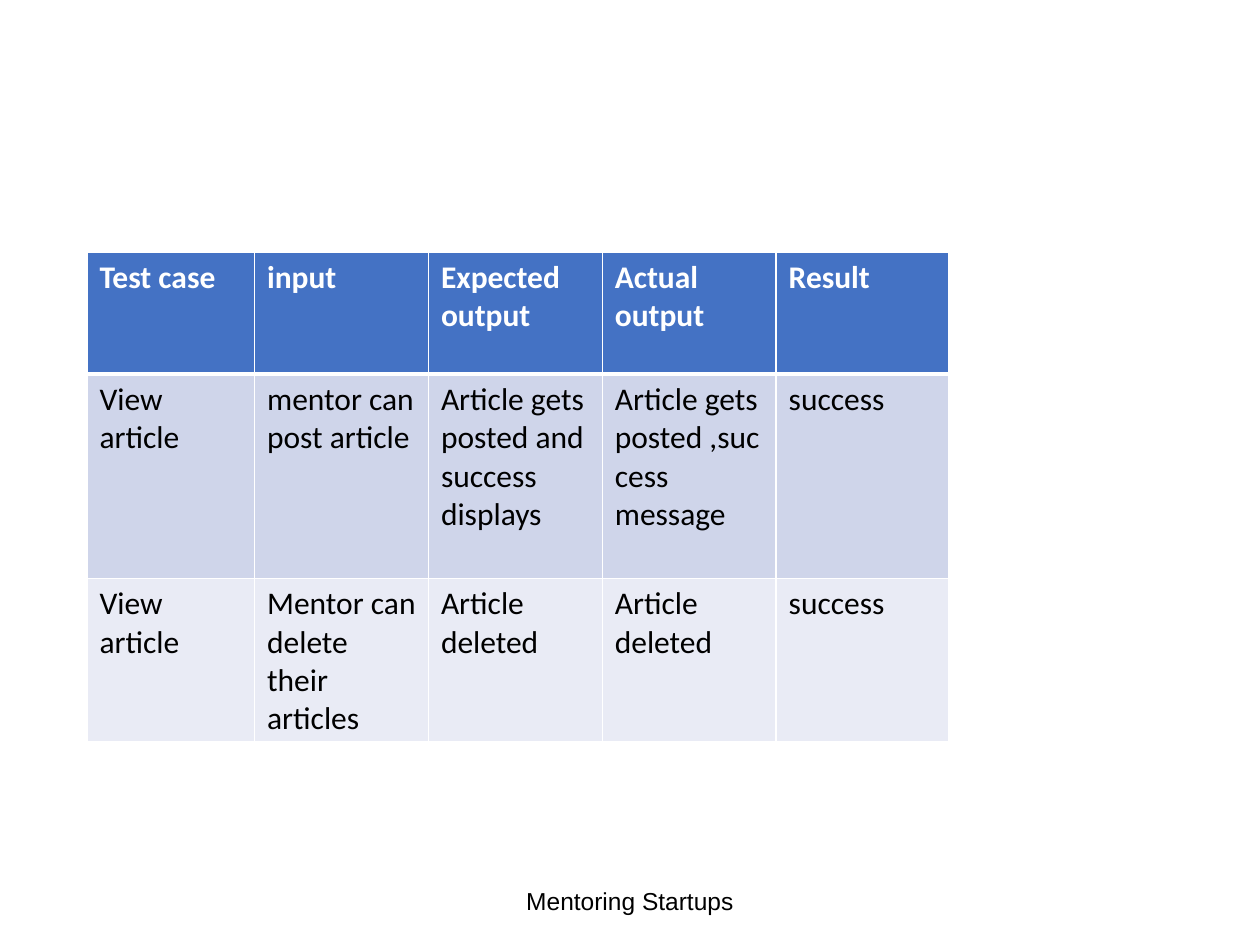
from dataclasses import dataclass

from lxml import etree
from pptx import Presentation
from pptx.dml.color import RGBColor
from pptx.enum import text
from pptx.oxml import ns
from pptx.util import Inches, Pt

WHITE = RGBColor(0xFF, 0xFF, 0xFF)
BLACK = RGBColor(0x00, 0x00, 0x00)
BLUE = RGBColor(0x44, 0x72, 0xC4)
LIGHT_BLUE = RGBColor(0xCF, 0xD5, 0xEA)
PALE_BLUE = RGBColor(0xE9, 0xEB, 0xF5)

COLUMN_WIDTHS = (1.33, 1.38, 1.38, 1.38, 1.37)
THIN, THICK = 1, 3


@dataclass(frozen=True)
class TestRow:
    height: float
    fill: RGBColor
    values: tuple[str, ...]
    color: RGBColor = BLACK
    bold: bool = False
    top: int = THIN
    bottom: int = THIN


TEST_ROWS = (
    TestRow(0.97, BLUE,
            ("Test case", "input", "Expected output", "Actual output", "Result"),
            color=WHITE, bold=True, bottom=THICK),
    TestRow(1.62, LIGHT_BLUE,
            ("View article", "mentor can post article",
             "Article gets posted and success  displays",
             "Article gets posted ,success message", "success"),
            top=THICK),
    TestRow(1.08, PALE_BLUE,
            ("View article", "Mentor can delete their articles",
             "Article deleted", "Article deleted", "success")),
)


def write_text(paragraph, content: str, color: RGBColor, **formats) -> None:
    run = paragraph.add_run()
    run.text = content
    for name, value in formats.items():
        setattr(run.font, name, value)
    run.font.color.rgb = color


def set_borders(cell, widths: dict[str, int]) -> None:
    properties = cell._tc.get_or_add_tcPr()
    for position, (side, width) in enumerate(widths.items()):
        line = etree.Element(ns.qn(f"a:ln{side}"), w=str(Pt(width)))
        fill = etree.SubElement(line, ns.qn("a:solidFill"))
        etree.SubElement(fill, ns.qn("a:srgbClr"), val=str(WHITE))
        properties.insert(position, line)


def add_test_table(slide) -> None:
    frame = slide.shapes.add_table(
        len(TEST_ROWS), len(COLUMN_WIDTHS), Inches(0.69), Inches(2),
        Inches(sum(COLUMN_WIDTHS)), Inches(sum(row.height for row in TEST_ROWS)))
    table = frame.table
    for column, width in zip(table.columns, COLUMN_WIDTHS):
        column.width = Inches(width)
    for table_row, row in zip(table.rows, TEST_ROWS):
        table_row.height = Inches(row.height)
        borders = {"L": THIN, "R": THIN, "T": row.top, "B": row.bottom}
        for cell, value in zip(table_row.cells, row.values):
            cell.fill.solid()
            cell.fill.fore_color.rgb = row.fill
            set_borders(cell, borders)
            write_text(cell.text_frame.paragraphs[0], value, row.color,
                       name="Calibri", size=Pt(18), bold=row.bold)


def add_footer(slide) -> None:
    shape = slide.shapes.add_textbox(
        Inches(3.31), Inches(6.95), Inches(3.38), Inches(0.4))
    frame = shape.text_frame
    frame.word_wrap = True
    frame.vertical_anchor = text.MSO_ANCHOR.MIDDLE
    paragraph = frame.paragraphs[0]
    paragraph.alignment = text.PP_ALIGN.CENTER
    write_text(paragraph, "Mentoring Startups", BLACK, name="Arial", size=Pt(14))


def main() -> None:
    presentation = Presentation()
    presentation.slide_width = Inches(10)
    presentation.slide_height = Inches(7.5)
    slide = presentation.slides.add_slide(presentation.slide_layouts[6])
    add_footer(slide)
    add_test_table(slide)
    presentation.save("out.pptx")


if __name__ == "__main__":
    main()
